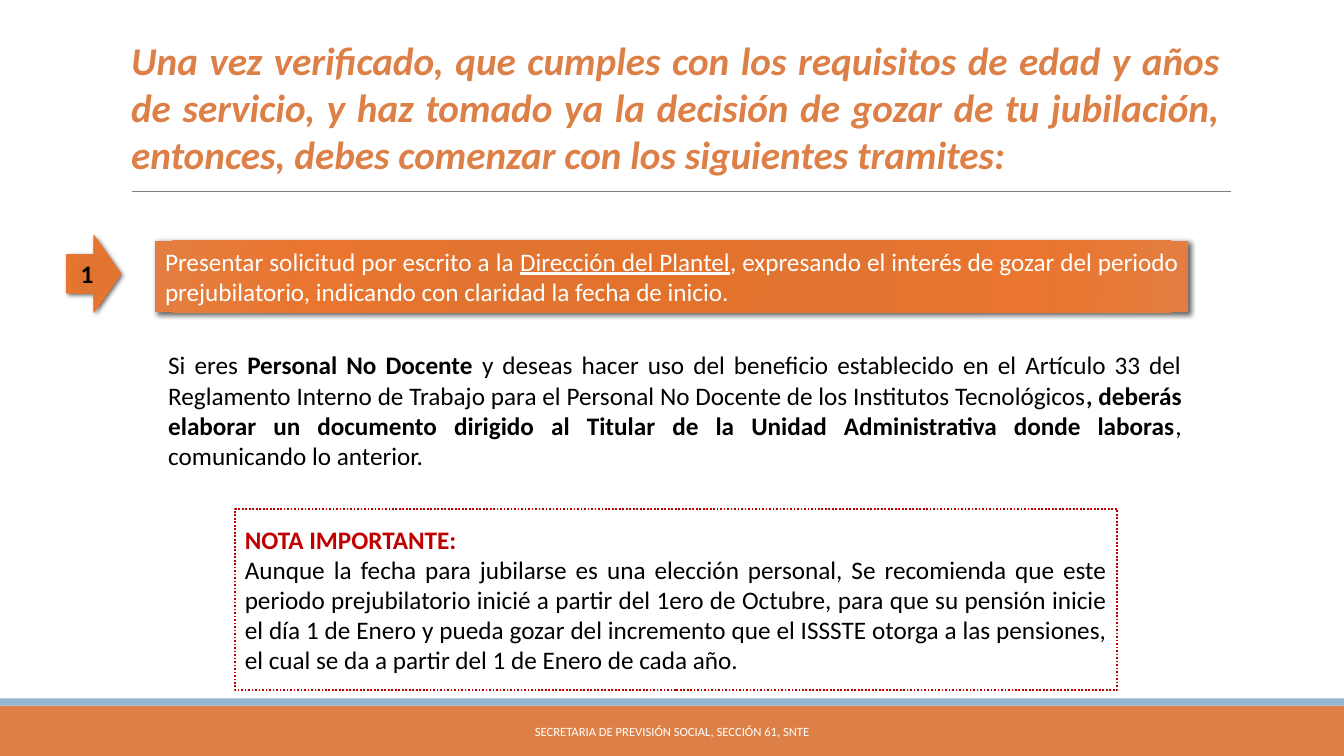
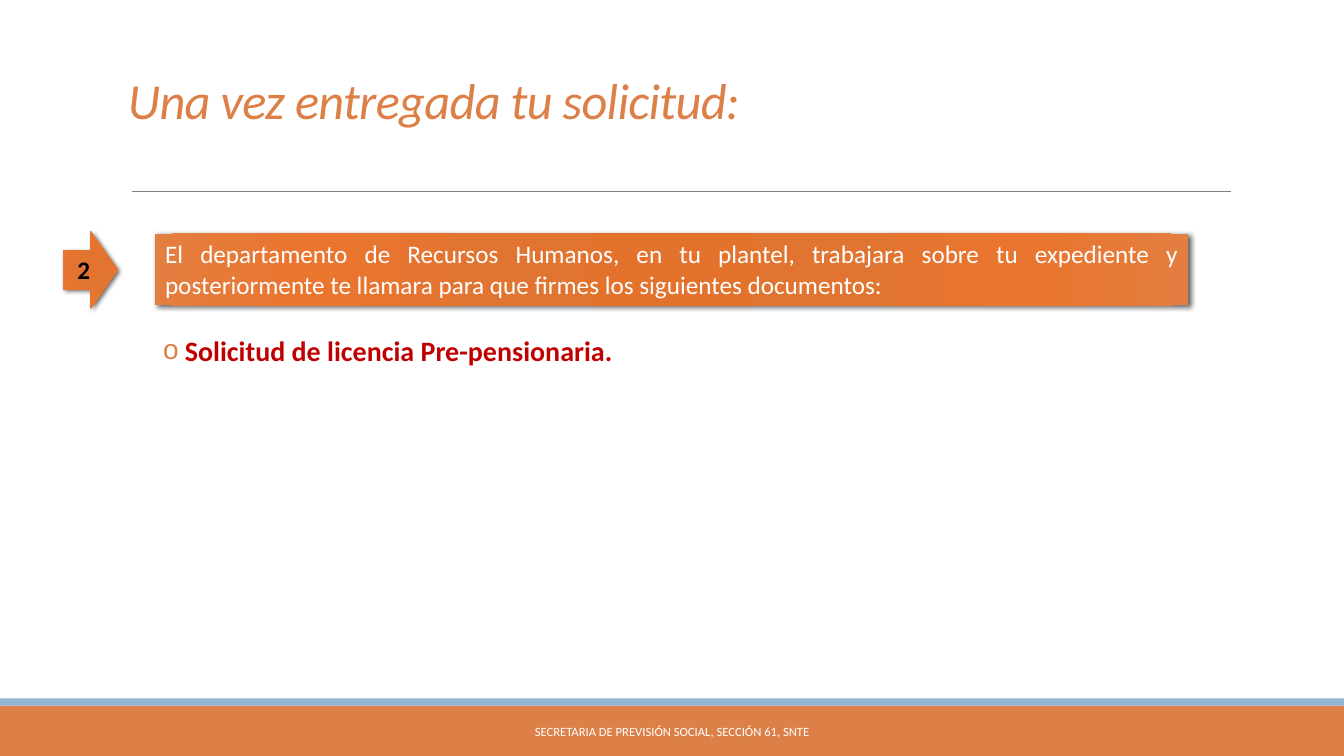
from lxml import etree
from pptx import Presentation
from pptx.dml.color import RGBColor
from pptx.enum.dml import MSO_LINE
from pptx.enum.shapes import MSO_CONNECTOR, MSO_SHAPE
from pptx.enum.text import MSO_ANCHOR, MSO_AUTO_SIZE, PP_ALIGN
from pptx.oxml.ns import qn
from pptx.util import Cm, Pt

RECTANGLE, ARROW = MSO_SHAPE.RECTANGLE, MSO_SHAPE.RIGHT_ARROW
STRAIGHT = MSO_CONNECTOR.STRAIGHT
DOTTED = MSO_LINE.ROUND_DOT
FIXED_SIZE = MSO_AUTO_SIZE.NONE
TOP, MIDDLE, BOTTOM = MSO_ANCHOR.TOP, MSO_ANCHOR.MIDDLE, MSO_ANCHOR.BOTTOM
LEFT, CENTER, JUSTIFY = PP_ALIGN.LEFT, PP_ALIGN.CENTER, PP_ALIGN.JUSTIFY

ORANGE = RGBColor(0xDD, 0x80, 0x47)
BLUE = RGBColor(0x94, 0xB6, 0xD2)
GRAY = RGBColor(0x80, 0x80, 0x80)
RED = RGBColor(0xC0, 0x00, 0x00)
WHITE = RGBColor(0xFF, 0xFF, 0xFF)
BLACK = RGBColor(0x00, 0x00, 0x00)
GLOW_STOPS = (
    (0, RGBColor(0xE3, 0x72, 0x2D)),
    (34, RGBColor(0xE2, 0x74, 0x31)),
    (70, RGBColor(0xE9, 0x75, 0x2E)),
    (100, RGBColor(0xE4, 0x7E, 0x40)),
)

FONT = "Calibri"
SLIDE_WIDTH, SLIDE_HEIGHT = 33.87, 19.05
TITLE_ONLY, TITLE_AND_BODY = 5, 1
FOOTER = "SECRETARIA DE PREVISIÓN SOCIAL, SECCIÓN 61, SNTE"


def child(parent, tag, **attributes):
    element = etree.SubElement(parent, qn(tag))
    for name, value in attributes.items():
        element.set(name, str(value))
    return element


class Deck:
    """Holds the shared style and the slide being built; lengths are in cm."""

    def __init__(self):
        self.presentation = Presentation()
        self.presentation.slide_width = Cm(SLIDE_WIDTH)
        self.presentation.slide_height = Cm(SLIDE_HEIGHT)
        self.slide = None

    def new_slide(self, layout):
        self.slide = self.presentation.slides.add_slide(
            self.presentation.slide_layouts[layout])
        self.rectangle((0, 17.78, SLIDE_WIDTH, 1.27), ORANGE)
        self.rectangle((0, 17.6, SLIDE_WIDTH, 0.18), BLUE)
        self.rule(3.33, 31.01, 4.83)
        self.text((10.24, 17.93, 13.39, 1.02), [[FOOTER]], size=9,
                  color=WHITE, align=CENTER, anchor=MIDDLE)

    def fill_text(self, frame, paragraphs, size=18, color=BLACK,
                  align=JUSTIFY, anchor=TOP, **style):
        """Fill a frame; a paragraph lists texts or (text, font changes)."""
        frame.word_wrap = True
        frame.auto_size = FIXED_SIZE
        frame.vertical_anchor = anchor
        for index, spans in enumerate(paragraphs):
            paragraph = frame.add_paragraph() if index else frame.paragraphs[0]
            paragraph.alignment = align
            for span in spans:
                words, changes = (span, {}) if isinstance(span, str) else span
                run = paragraph.add_run()
                run.text = words
                run.font.name, run.font.size = FONT, Pt(size)
                look = {"color": color, **style, **changes}
                run.font.color.rgb = look.pop("color")
                for name, value in look.items():
                    setattr(run.font, name, value)

    def place(self, placeholder, box):
        (placeholder.left, placeholder.top,
         placeholder.width, placeholder.height) = map(Cm, box)
        return placeholder.text_frame

    def title(self, words, box, **style):
        frame = self.place(self.slide.shapes.title, box)
        self.fill_text(frame, [[words]], color=ORANGE, italic=True, **style)
        return frame.paragraphs[0]

    def bullets(self, items, box, indent=0.55):
        frame = self.place(self.slide.placeholders[1], box)
        frame.margin_left = frame.margin_right = 0
        self.fill_text(frame, [[item] for item in items], size=20, color=RED,
                       align=LEFT, bold=True)
        for paragraph in frame.paragraphs:
            paragraph.line_spacing = 0.9
            paragraph.space_before, paragraph.space_after = Pt(12), Pt(2)
            properties = paragraph._p.get_or_add_pPr()
            properties.set("marL", str(Cm(indent)))
            properties.set("indent", str(-Cm(indent)))
            child(child(properties, "a:buClr"), "a:srgbClr", val=ORANGE)
            child(properties, "a:buChar", char="o")

    def text(self, box, paragraphs, **style):
        textbox = self.slide.shapes.add_textbox(*map(Cm, box))
        self.fill_text(textbox.text_frame, paragraphs, **style)

    def rectangle(self, box, color):
        return self.flat_shape(RECTANGLE, box, color)

    def flat_shape(self, kind, box, color):
        shape = self.slide.shapes.add_shape(kind, *map(Cm, box))
        shape.shadow.inherit = False
        shape.line.fill.background()
        shape.fill.solid()
        shape.fill.fore_color.rgb = color
        return shape

    def rule(self, start, end, y):
        line = self.slide.shapes.add_connector(
            STRAIGHT, Cm(start), Cm(y), Cm(end), Cm(y))
        line.line.color.rgb = GRAY
        line.line.width = Pt(0.5)
        child(line._element.spPr, "a:effectLst")

    def glowing(self, kind, box):
        """Add a shape with the orange radial gradient and a soft shadow."""
        shape = self.flat_shape(kind, box, ORANGE)
        properties = shape._element.spPr
        gradient = etree.Element(qn("a:gradFill"), rotWithShape="1")
        stops = child(gradient, "a:gsLst")
        for position, color in GLOW_STOPS:
            stop = child(stops, "a:gs", pos=position * 1000)
            child(stop, "a:srgbClr", val=color)
        circle = child(gradient, "a:path", path="circle")
        child(circle, "a:fillToRect", **dict.fromkeys("ltrb", 100000))
        properties.replace(properties.find(qn("a:solidFill")), gradient)
        shadow = child(properties.find(qn("a:effectLst")), "a:outerShdw",
                       blurRad=Pt(3.5), dist=Pt(2), dir=45 * 60000,
                       rotWithShape=0)
        child(child(shadow, "a:srgbClr", val=BLACK), "a:alpha", val=60000)
        return shape

    def banner(self, top, spans):
        shape = self.glowing(RECTANGLE, (3.91, top, 26.04, 1.8))
        self.fill_text(shape.text_frame, [spans], color=WHITE)

    def step_arrow(self, left, top, number):
        frame = self.glowing(ARROW, (left, top, 1.37, 1.96)).text_frame
        self.fill_text(frame, [[number]], align=CENTER, anchor=MIDDLE,
                       bold=True)
        run_properties = frame.paragraphs[0].runs[0]._r.get_or_add_rPr()
        outline = etree.Element(qn("a:ln"), w=str(Pt(0.75)))
        child(child(outline, "a:solidFill"), "a:srgbClr", val=WHITE)
        run_properties.insert(0, outline)

    def note(self, box, heading, body):
        shape = self.rectangle(box, WHITE)
        shape.line.color.rgb = RED
        shape.line.width = Pt(1.25)
        shape.line.dash_style = DOTTED
        self.fill_text(shape.text_frame,
                       [[(heading, {"color": RED, "bold": True})], [body]],
                       anchor=MIDDLE)


def request_slide(deck):
    deck.new_slide(TITLE_ONLY)
    deck.title(
        "Una vez verificado, que cumples con los requisitos de edad y años de "
        "servicio, y haz tomado ya la decisión de gozar de tu jubilación, "
        "entonces, debes comenzar con los siguientes tramites:",
        (3.05, 0.79, 27.94, 3.84), size=28, bold=True)
    deck.note(
        (5.92, 12.83, 22.23, 4.55), "NOTA IMPORTANTE:",
        "Aunque la fecha para jubilarse es una elección personal, Se "
        "recomienda que este periodo prejubilatorio inicié a partir del 1ero "
        "de Octubre, para que su pensión inicie el día 1 de Enero y pueda "
        "gozar del incremento que el ISSSTE otorga a las pensiones, el cual "
        "se da a partir del 1 de Enero de cada año.")
    deck.step_arrow(1.68, 5.92, "1")
    deck.banner(6.07, [
        "Presentar solicitud por escrito a la ",
        ("Dirección del Plantel", {"underline": True}),
        ", expresando el interés de gozar del periodo prejubilatorio, "
        "indicando con claridad la fecha de inicio."])
    deck.text((3.99, 8.69, 26.04, 3.33), [[
        "Si eres ",
        ("Personal No Docente ", {"bold": True}),
        "y deseas hacer uso del beneficio establecido en el Artículo 33 del "
        "Reglamento Interno de Trabajo para el Personal No Docente de los "
        "Institutos Tecnológicos",
        (", deberás elaborar un documento dirigido al Titular de la Unidad "
         "Administrativa donde laboras", {"bold": True}),
        ", comunicando lo anterior."]])


def documents_slide(deck):
    deck.new_slide(TITLE_AND_BODY)
    heading = deck.title("Una vez entregada tu solicitud:",
                         (2.97, 0.86, 27.94, 2.55), size=36, align=LEFT,
                         anchor=BOTTOM)
    heading.line_spacing = 0.85
    heading.runs[0]._r.get_or_add_rPr().set("spc", "-50")
    deck.bullets(["Solicitud de licencia Pre-pensionaria."],
                 (4.11, 8.36, 25.63, 7.37))
    deck.banner(5.89, [
        "El departamento de Recursos Humanos, en tu plantel, trabajara sobre "
        "tu expediente y posteriormente te llamara para que firmes los "
        "siguientes documentos:"])
    deck.step_arrow(1.6, 5.82, "2")


def main():
    deck = Deck()
    request_slide(deck)
    documents_slide(deck)
    deck.presentation.save("out.pptx")


if __name__ == "__main__":
    main()
